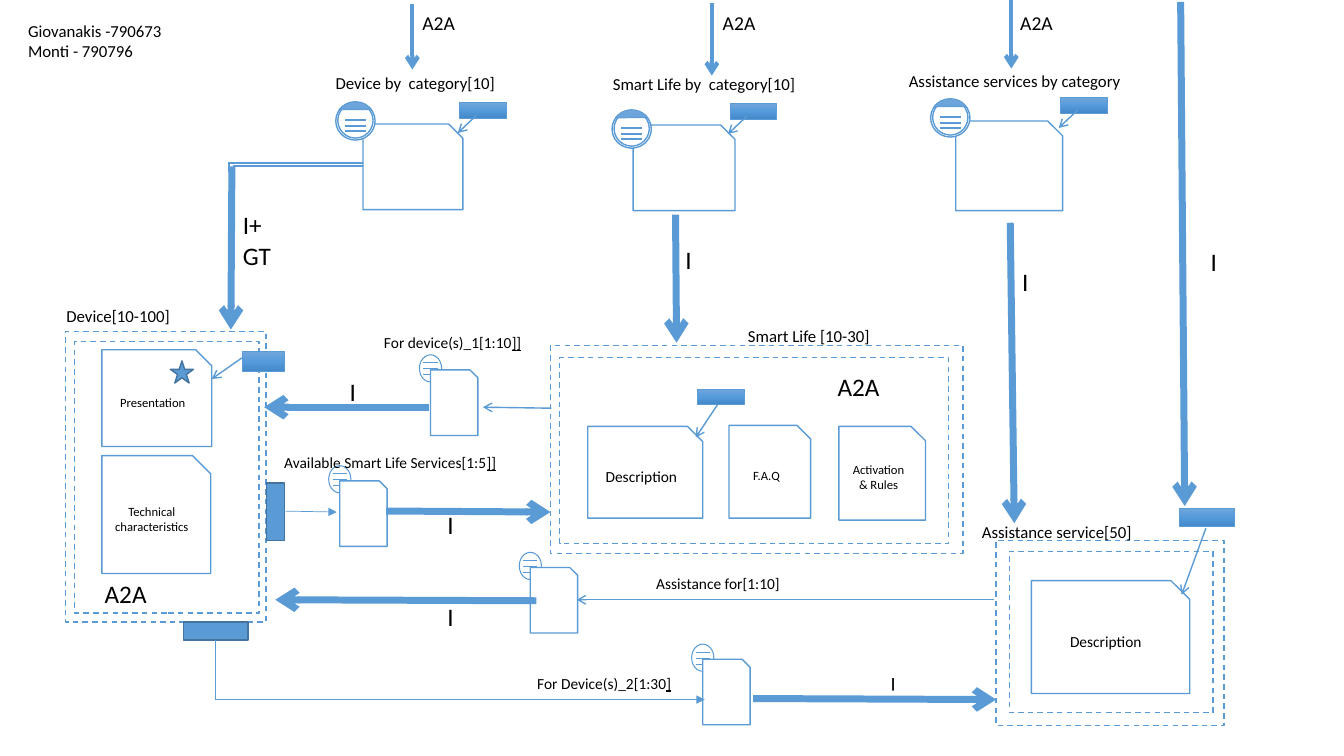
from copy import deepcopy

from lxml import etree
from pptx import Presentation
from pptx.dml.color import RGBColor
from pptx.enum.dml import MSO_LINE
from pptx.enum.shapes import MSO_CONNECTOR, MSO_SHAPE
from pptx.enum.text import MSO_ANCHOR, PP_ALIGN
from pptx.oxml.ns import qn
from pptx.util import Cm, Pt

RECT, PAGE, OVAL = MSO_SHAPE.RECTANGLE, MSO_SHAPE.SNIP_1_RECTANGLE, MSO_SHAPE.OVAL
CHORD, STAR = MSO_SHAPE.CHORD, MSO_SHAPE.STAR_5_POINT
STRAIGHT, DASH = MSO_CONNECTOR.STRAIGHT, MSO_LINE.DASH
CENTER, LEFT = PP_ALIGN.CENTER, PP_ALIGN.LEFT
TOP, MIDDLE = MSO_ANCHOR.TOP, MSO_ANCHOR.MIDDLE


def color(hex_code):
    """Turn a hex string into a colour."""
    return RGBColor.from_string(hex_code)


def inches(*values):
    """Convert inch values to Cm lengths."""
    return [Cm(value * 2.54) for value in values]


class Diagram:
    """Holds the style and the current slide, and draws the diagram's elements."""

    font, ink, white, blue, dark = "Calibri", "000000", "FFFFFF", "5B9BD5", "43739E"
    gradient = ((0, "71A6DB"), (0.5, "559BDB"), (1, "448ACA"))

    def __init__(self, slide):
        self.shapes = slide.shapes

    def caption(self, frame, text, size, align=LEFT, underlined=""):
        """Fill a text frame; the underlined part follows the text."""
        frame.text = text
        if underlined:
            ending = frame.paragraphs[0].add_run()
            ending.text = underlined
            ending.font.underline = True
        for paragraph in frame.paragraphs:
            paragraph.alignment = align
            for run in paragraph.runs:
                run.font.name, run.font.size = self.font, Pt(size)
                run.font.color.rgb = color(self.ink)

    def text(self, box, text, size=12, wrap=False, align=LEFT, underlined="", rotation=0):
        """Add a free text box."""
        area = self.shapes.add_textbox(*inches(*box))
        area.rotation = rotation
        area.text_frame.word_wrap = wrap
        area.text_frame.vertical_anchor = TOP
        self.caption(area.text_frame, text, size, align, underlined)

    def shape(self, kind, box, fill=white, line=blue, width=1.0):
        """Add an outlined preset shape without shadow."""
        shape = self.shapes.add_shape(kind, *inches(*box))
        shape.shadow.inherit = False
        shape.fill.solid()
        shape.fill.fore_color.rgb = color(fill)
        shape.line.color.rgb = color(line)
        shape.line.width = Pt(width)
        return shape

    def shaded(self, kind, box):
        """Add a shape with the vertical blue gradient."""
        shape = self.shape(kind, box, width=0.5)
        shape.fill.gradient()
        shape.fill.gradient_angle = 270
        stops = shape._element.spPr.find(".//" + qn("a:gsLst"))
        stops.insert(1, deepcopy(stops[0]))
        for stop, (position, shade) in zip(shape.fill.gradient_stops, self.gradient):
            stop.position = position
            stop.color.rgb = color(shade)
        return shape

    def page(self, box, text="", size=9):
        """Add a page with a snipped corner and an optional caption."""
        page = self.shape(PAGE, box)
        if text:
            page.text_frame.vertical_anchor = MIDDLE
            self.caption(page.text_frame, text, size, CENTER)

    def line(self, start, end, width=1.0, head=""):
        """Draw a line, with an arrowhead at its end if one is named."""
        line = self.shapes.add_connector(STRAIGHT, *inches(*start, *end))
        line.line.color.rgb = color(self.blue)
        line.line.width = Pt(width)
        properties = line._element.spPr
        if head:
            etree.SubElement(properties.find(qn("a:ln")), qn("a:tailEnd"), type=head)
        etree.SubElement(properties, qn("a:effectLst"))

    def arrow(self, start, end, width=1.0):
        """Draw an open arrow."""
        self.line(start, end, width, "arrow")

    def container(self, outer, inner):
        """Draw the double dashed frame of a topic."""
        for box in (outer, inner):
            self.shape(RECT, box).line.dash_style = DASH

    def rules(self, left, right, heights, width):
        """Draw the horizontal strokes inside an icon."""
        for y in heights:
            self.line((left, y), (right, y), width)

    def list_page(self, x, y):
        """Draw a small page with its list icon."""
        self.shape(OVAL, (x, y, 0.22, 0.27), width=0.75)
        self.rules(x + 0.04, x + 0.18, (y + 0.08, y + 0.14, y + 0.2), 0.75)
        self.page((x + 0.11, y + 0.15, 0.47, 0.65))

    def category(self, page, disc, tag):
        """Draw a category page with its index disc and landmark tag."""
        self.page(page)
        x, y = disc
        self.shape(OVAL, (x, y, 0.39, 0.38))
        self.shape(OVAL, (x + 0.02, y + 0.01, 0.35, 0.35))
        self.rules(x + 0.09, x + 0.3, (y + 0.18, y + 0.24, y + 0.29), 1)
        cap = self.shaded(CHORD, (x - 0.02, y, 0.43, 0.46))
        cap.adjustments[0], cap.adjustments[1] = 133.5, 190.2
        x, y = tag
        self.shaded(RECT, (x, y, 0.46, 0.15))
        self.arrow((x + 0.17, y + 0.12), (x - 0.02, y + 0.3))


deck = Presentation()
deck.slide_width, deck.slide_height = inches(13.33, 7.5)
diagram = Diagram(deck.slides.add_slide(deck.slide_layouts[6]))

# Topics
diagram.container((0.65, 3.29, 1.99, 2.88), (0.74, 3.39, 1.83, 2.69))
diagram.container((5.46, 3.43, 4.09, 2.06), (5.55, 3.55, 3.86, 1.84))
diagram.container((9.88, 5.36, 2.26, 1.84), (10.01, 5.47, 2.02, 1.6))
for box, title, size in (
    ((1.01, 3.47, 1.09, 0.96), "Presentation", 9),
    ((1.01, 4.52, 1.08, 1.17), "Technical characteristics", 9),
    ((5.83, 4.23, 1.14, 0.91), "Description", 11),
    ((7.23, 4.22, 0.81, 0.92), "F.A.Q", 9),
    ((8.32, 4.23, 0.86, 0.93), "Activation & Rules", 9),
    ((10.23, 5.76, 1.57, 1.12), "Description", 11),
):
    diagram.page(box, title, size)
for tag, start, end in (
    ((2.4, 3.49, 0.42, 0.19), (2.4, 3.55), (2.1, 3.76)),
    ((6.92, 3.86, 0.46, 0.15), (7.12, 4.01), (6.9, 4.34)),
    ((11.7, 5.04, 0.54, 0.18), (11.96, 5.24), (11.72, 5.9)),
):
    diagram.shaded(RECT, tag)
    diagram.arrow(start, end)
for kind, box in (
    (STAR, (1.69, 3.58, 0.23, 0.22)),
    (RECT, (2.64, 4.79, 0.18, 0.57)),
    (RECT, (1.82, 6.17, 0.64, 0.18)),
):
    diagram.shape(kind, box, diagram.blue, diagram.dark)

# Categories and list pages
diagram.category((3.6, 1.23, 0.99, 0.85), (3.33, 1.01), (4.56, 1.02))
diagram.category((6.28, 1.24, 1.01, 0.85), (6.07, 1.09), (7.24, 1.03))
diagram.category((9.48, 1.2, 1.06, 0.89), (9.23, 0.98), (10.52, 0.97))
for corner in ((5.15, 5.48), (4.16, 3.52), (3.26, 4.62), (6.86, 6.39)):
    diagram.list_page(*corner)

# Links
for start, end, width in (
    ((4.09, 0.04), (4.09, 0.69), 3), ((7.06, 0.03), (7.06, 0.75), 3),
    ((10.03, 0), (10.03, 0.68), 3), ((9.86, 5.95), (5.72, 5.95), 1),
    ((5.47, 4.05), (4.79, 4.04), 1), ((5.32, 5.96), (2.73, 5.95), 5),
    ((4.25, 4.04), (2.62, 4.04), 5), ((3.83, 5.07), (5.46, 5.08), 5),
    ((7.47, 6.93), (9.88, 6.94), 5), ((2.3, 1.65), (2.29, 3.27), 5),
    ((6.7, 2.13), (6.71, 3.4), 5), ((10.02, 2.21), (10.06, 5.19), 5),
    ((11.71, 0.02), (11.75, 5.02), 5),
):
    diagram.arrow(start, end, width)
diagram.line((2.78, 5.07), (3.34, 5.08), 0.5, "triangle")
diagram.line((2.14, 6.35), (2.14, 6.94), 0.5)
diagram.line((2.14, 6.94), (6.99, 6.94), 0.5, "triangle")
for start, end in (((2.31, 1.65), (3.6, 1.65)), ((2.27, 1.62), (3.6, 1.62)),
                   ((2.27, 1.71), (2.27, 1.61))):
    diagram.line(start, end, 1.5)

# Labels
diagram.text((0.18, 0.16, 6.67, 0.5), "Giovanakis -790673\nMonti - 790796", wrap=True)
diagram.text((0.56, 2.98, 1.24, 0.33), "Device[10-100]")
diagram.text((7.32, 3.18, 1.42, 0.3), "Smart Life [10-30]")
diagram.text((9.64, 5.13, 1.71, 0.3), "Assistance service[50]")
diagram.text((3.23, 0.67, 1.8, 0.3), "Device by  category[10]")
diagram.text((5.98, 0.68, 2.03, 0.3), "Smart Life by  category[10]")
diagram.text((8.9, 0.65, 2.33, 0.3), "Assistance services by category", align=CENTER)
for box, label, ending in (
    ((6.41, 5.65, 1.44, 0.29), "Assistance for[1:10]", ""),
    ((3.71, 3.26, 1.58, 0.29), "For device(s)_1[1:10", "]]"),
    ((2.72, 4.45, 2.32, 0.29), "Available Smart Life Services[1:5", "]]"),
    ((5.23, 6.64, 1.54, 0.29), "For Device(s)_2[1:30", "]"),
):
    diagram.text(box, label, 11, underlined=ending)
for x in (4.09, 7.07, 10.02):
    diagram.text((x, 0.06, 0.87, 0.34), "A2A", 14, wrap=True)
for x, y in ((0.94, 5.69), (8.21, 3.63)):
    diagram.text((x, y, 0.77, 0.4), "A2A", 18, wrap=True)
for x, y in ((11.91, 2.39), (3.37, 3.68), (4.34, 5), (4.34, 5.92), (10.04, 2.59), (6.7, 2.37)):
    diagram.text((x, y, 0.3, 0.4), "I", 18, wrap=True)
diagram.text((8.18, 6.6, 0.8, 0.37), "I", 14, wrap=True, rotation=180)
diagram.text((2.31, 2.03, 0.53, 0.71), "I+GT", 18, wrap=True)

deck.save("out.pptx")
